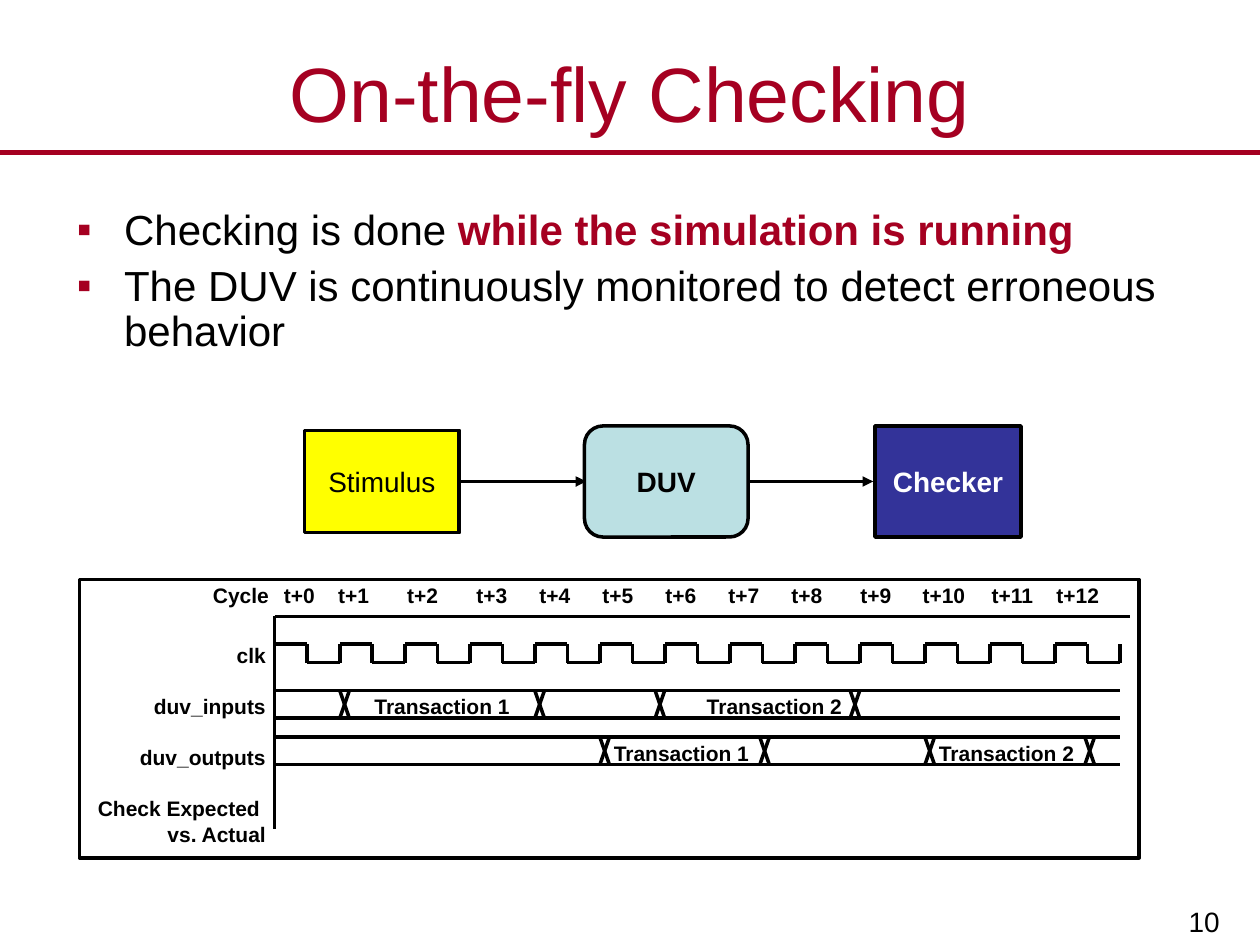
import pptx
import pptx.dml.color
import pptx.enum.shapes
import pptx.enum.text
import pptx.oxml
import pptx.oxml.ns
import pptx.util

Pt = pptx.util.Pt
RGB = pptx.dml.color.RGBColor
Shape = pptx.enum.shapes.MSO_SHAPE
Align = pptx.enum.text.PP_ALIGN
Anchor = pptx.enum.text.MSO_ANCHOR

RED = RGB(0xA5, 0x00, 0x21)
BLACK = RGB(0x00, 0x00, 0x00)
WHITE = RGB(0xFF, 0xFF, 0xFF)
YELLOW = RGB(0xFF, 0xFF, 0x00)
TEAL = RGB(0xBB, 0xE0, 0xE3)
BLUE = RGB(0x33, 0x33, 0x99)

TIGHT = {"margin_left": Pt(6.5), "margin_right": Pt(6.5),
         "margin_top": Pt(3.2), "margin_bottom": Pt(3.2)}
SMALL = {"size": Pt(12), "bold": True}


def apply(item, values):
    for name, value in values.items():
        setattr(item, name, value)


def write(para, text, color=BLACK, **style):
    run = para.add_run()
    run.text = text
    apply(run.font, {"name": "Arial", **style})
    run.font.color.rgb = color


def child(parent, tag, **attrs):
    node = pptx.oxml.parse_xml(f"<a:{tag} {pptx.oxml.ns.nsdecls('a')}/>")
    for name, value in attrs.items():
        node.set(name, str(value))
    parent.append(node)
    return node


def rule(slide, x1, y1, x2, y2, color=BLACK, width=2, arrow=False):
    line = slide.shapes.add_connector(
        pptx.enum.shapes.MSO_CONNECTOR.STRAIGHT, Pt(x1), Pt(y1), Pt(x2), Pt(y2))
    line.line.color.rgb = color
    line.line.width = Pt(width)
    if arrow:
        child(line.line._get_or_add_ln(), "tailEnd", type="triangle")
    child(line._element.spPr, "effectLst")


def label(slide, box, **frame):
    """Add an empty text box and return its frame."""
    text = slide.shapes.add_textbox(*map(Pt, box)).text_frame
    apply(text, {"word_wrap": True, **TIGHT, **frame})
    return text


def block(slide, box, kind, fill=None):
    shape = slide.shapes.add_shape(kind, *map(Pt, box))
    shape.shadow.inherit = False
    if fill is None:
        shape.fill.background()
    else:
        shape.fill.solid()
        shape.fill.fore_color.rgb = fill
    shape.line.color.rgb = BLACK
    shape.line.width = Pt(2)
    return shape


def place(shape, box):
    apply(shape, dict(zip(("left", "top", "width", "height"), map(Pt, box))))
    shape.text_frame.auto_size = pptx.enum.text.MSO_AUTO_SIZE.NONE
    return shape.text_frame


def head(slide, box):
    frame = place(slide.shapes.title, box)
    frame.vertical_anchor = Anchor.MIDDLE
    para = frame.paragraphs[0]
    para.alignment = Align.CENTER
    write(para, "On-the-fly Checking", RED, size=Pt(44))
    rule(slide, 0, 87, 720, 87, RED, 3)


def points(slide, box):
    frame = place(slide.placeholders[1], box)
    items = [
        [("Checking is done ", BLACK, False),
         ("while the simulation is running", RED, True)],
        [("The DUV is continuously monitored to detect erroneous behavior",
          BLACK, False)],
    ]
    for i, parts in enumerate(items):
        para = frame.add_paragraph() if i else frame.paragraphs[0]
        apply(para, {"line_spacing": 0.9, "space_before": Pt(6 if i else 0)})
        props = para._p.get_or_add_pPr()
        props.set("marL", str(Pt(27)))
        props.set("indent", str(-Pt(27)))
        child(child(props, "buClr"), "srgbClr", val=RED)
        child(props, "buFont", typeface="Arial")
        child(props, "buChar", char="▪")
        for text, color, bold in parts:
            write(para, text, color, size=Pt(24), bold=bold)


def flow(slide, box):
    """Chain stimulus, device and checker along the middle of the box."""
    left, top, width, height = box
    mid = top + height / 2
    for x in (89, 253):
        rule(slide, left + x, mid, left + x + 72, mid, arrow=True)
    parts = [
        ("Stimulus", 0, 88.5, 58.5, Shape.RECTANGLE, YELLOW, BLACK, False),
        ("DUV", 160, 93.5, 63.5, Shape.ROUNDED_RECTANGLE, TEAL, BLACK, True),
        ("Checker", 326, 83.5, 63.5, Shape.RECTANGLE, BLUE, WHITE, True),
    ]
    for text, x, wide, high, kind, fill, color, bold in parts:
        shape = block(slide, (left + x, mid - high / 2, wide, high), kind, fill)
        frame = shape.text_frame
        apply(frame, {"word_wrap": False, "vertical_anchor": Anchor.MIDDLE, **TIGHT})
        para = frame.paragraphs[0]
        para.alignment = Align.CENTER
        write(para, text, color, size=Pt(16), bold=bold)


def cycles(slide, box):
    stops = (40.5, 71.5, 111, 150.5, 186.5, 222.5, 258.5,
             294.5, 330.5, 370, 405.5, 445, 482)
    para = label(slide, box).paragraphs[0]
    tabs = child(para._p.get_or_add_pPr(), "tabLst")
    for stop in stops:
        child(tabs, "tab", pos=Pt(stop), algn="l")
    names = ["Cycle"] + [f"t+{n}" for n in range(len(stops))]
    write(para, "\t".join(names), **SMALL)


def signals(slide, box):
    frame = label(slide, box)
    rows = [("clk", 0), ("duv_inputs", 14.8), ("duv_outputs", 14.8),
            ("Check Expected ", 14.8), ("vs. Actual", 0.5)]
    for i, (text, gap) in enumerate(rows):
        para = frame.add_paragraph() if i else frame.paragraphs[0]
        apply(para, {"alignment": Align.RIGHT, "space_before": Pt(gap)})
        write(para, text, **SMALL)


def clock(slide, box, count):
    left, top, width, height = box
    step = width / count
    low = top + height
    for n in range(count):
        x = left + n * step
        half, end = x + step / 2, x + step
        path = [(x, top), (half, top), (half, low), (end, low), (end, top)]
        for start, stop in zip(path, path[1:]):
            rule(slide, *start, *stop)


def bus(slide, box, step, swaps, texts):
    """Draw a two-rail bus; swaps and texts are placed in clock cycles."""
    left, top, width, height = box
    low = top + height
    for y in (top, low):
        rule(slide, left, y, left + width, y)
    for swap in swaps:
        x = left + swap * step
        rule(slide, x, top, x + 5.5, low)
        rule(slide, x, low, x + 5.5, top)
    for n, at in enumerate(texts, 1):
        frame = label(slide, (left + at * step, top - 1.4, 90.7, 20.9),
                      word_wrap=False)
        write(frame.paragraphs[0], f"Transaction {n}", **SMALL)


def timing(slide, box):
    left, top, width, height = box
    count, span = 13, 483
    step = span / count
    axis = left + 111.6
    block(slide, box, Shape.RECTANGLE)
    cycles(slide, (left + 69.8, top - 1.4, 530, 20.9))
    signals(slide, (left + 1.4, top + 32.6, 111.6, 122))
    rule(slide, axis, top + 21, axis, top + 142.6)
    rule(slide, axis, top + 21, left + 600.5, top + 21)
    clock(slide, (axis, top + 36.8, span, 10.7), count)
    bus(slide, (axis, top + 63.4, span, 15.8), step,
        (1, 4, 5.85, 8.85), (1.36, 6.47))
    bus(slide, (axis, top + 90, span, 15.8), step,
        (5, 7.46, 10, 12.46), (5.04, 10.04))


def number(slide, box):
    frame = label(slide, box, vertical_anchor=Anchor.BOTTOM,
                  margin_left=Pt(8), margin_right=Pt(8),
                  margin_top=Pt(4), margin_bottom=Pt(4))
    para = frame.paragraphs[0]
    para.alignment = Align.RIGHT
    write(para, "10", size=Pt(16))


def main():
    deck = pptx.Presentation()
    apply(deck, {"slide_width": Pt(720), "slide_height": Pt(540)})
    slide = deck.slides.add_slide(deck.slide_layouts[1])
    head(slide, (0, 21.6, 720, 62))
    points(slide, (36.7, 116, 648, 106.5))
    flow(slide, (174, 243.4, 409.5, 63.5))
    timing(slide, (45.4, 331.2, 605.5, 159))
    number(slide, (561.6, 499, 143.3, 41))
    deck.save("out.pptx")


if __name__ == "__main__":
    main()
